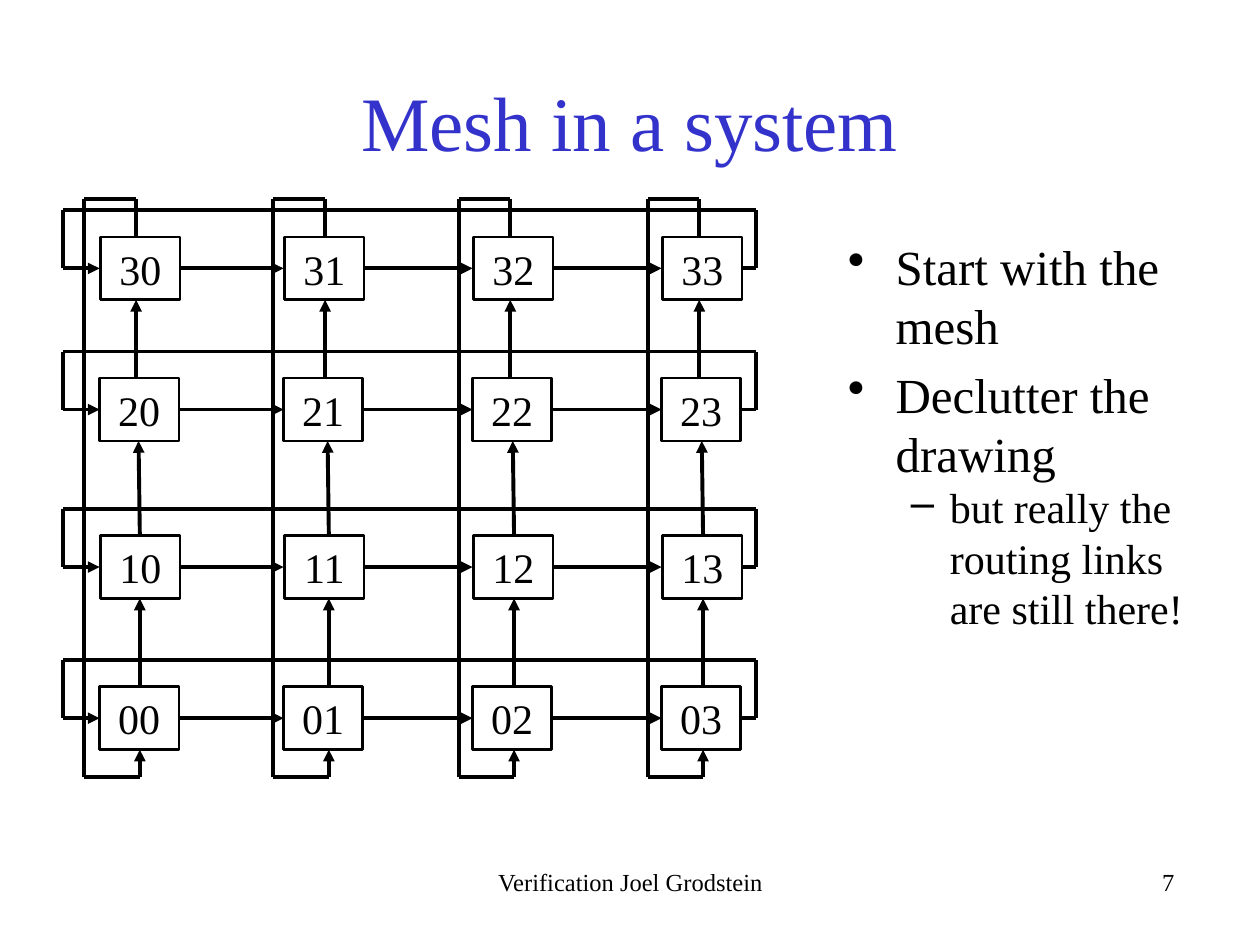
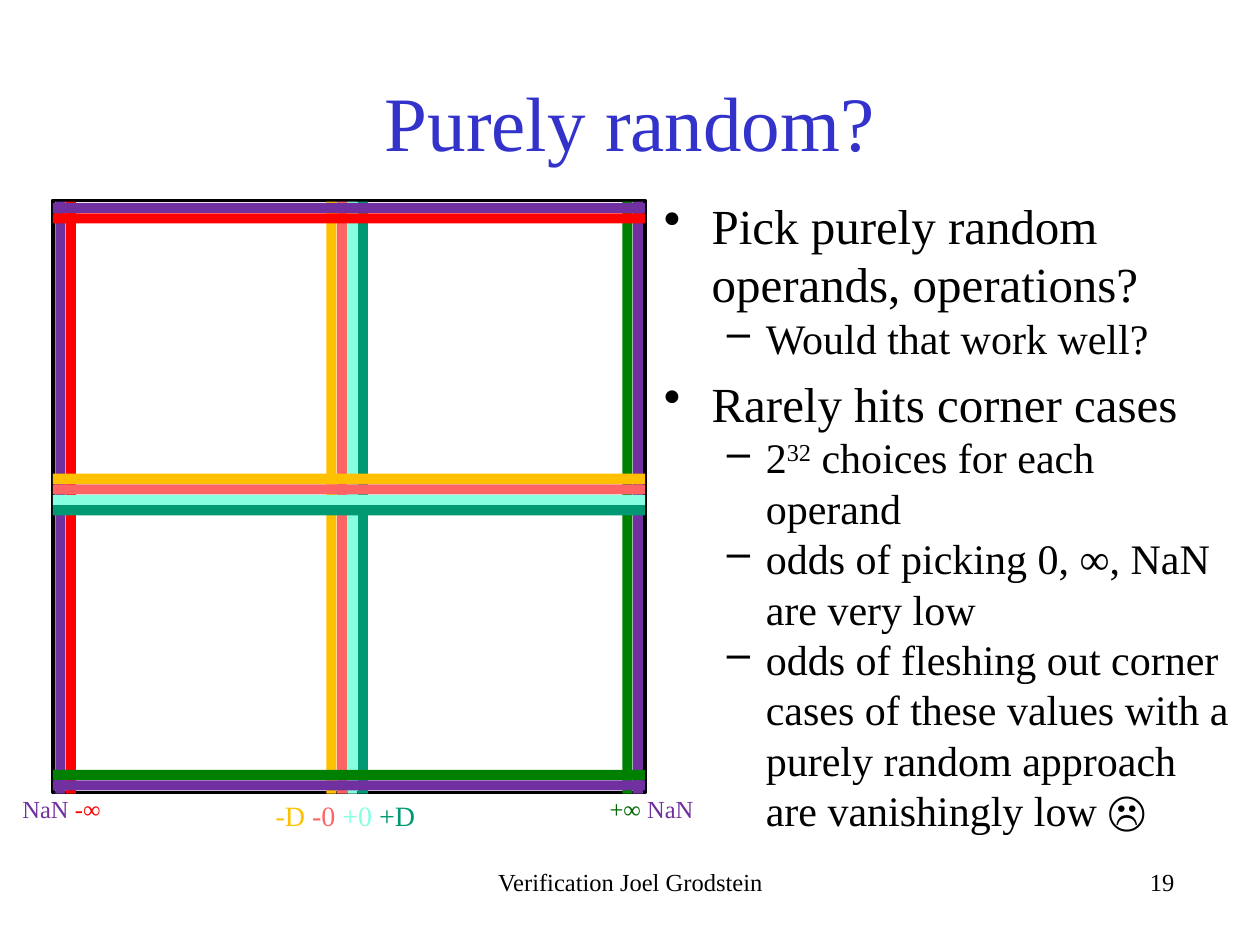
from dataclasses import dataclass

from lxml import etree
from pptx import Presentation
from pptx.dml.color import RGBColor
from pptx.enum import shapes as sh, text as tx
from pptx.oxml import ns
from pptx.util import Inches, Pt


@dataclass(frozen=True)
class Theme:
    """Colours, font and type sizes shared by the slides."""
    font: str = "Times New Roman"
    ink: str = "000000"
    paper: str = "FFFFFF"
    title: str = "3333CC"
    nan: str = "7030A0"
    minus_inf: str = "FF0000"
    plus_inf: str = "008000"
    plus_inf_label: str = "006600"
    minus_denorm: str = "FFC000"
    minus_zero: str = "FF6464"
    plus_zero: str = "85FFE0"
    plus_denorm: str = "009973"
    title_size: int = 44
    point_size: int = 28
    detail_size: int = 24
    zero_label_size: int = 16
    small_size: int = 14


THEME = Theme()
ALIGN = tx.PP_ALIGN
POINT = dict(size=THEME.point_size, marker="•", margin=0.38, hang=-0.38, before=5.6)
DETAIL = dict(size=THEME.detail_size, marker="–", margin=0.81, hang=-0.31, before=0)


def add_run(paragraph, words, size, color=THEME.ink, baseline=None):
    """Append one run in the theme font."""
    run = paragraph.add_run()
    run.text = words
    for name, value in dict(name=THEME.font, size=Pt(size)).items():
        setattr(run.font, name, value)
    run.font.color.rgb = RGBColor.from_string(color)
    if baseline:
        run.font._element.set("baseline", str(baseline * 1000))


def add_text(slide, box, runs, size, align=ALIGN.LEFT, anchor=tx.MSO_ANCHOR.TOP):
    """Place one paragraph of (words, colour) runs in a box."""
    frame = slide.shapes.add_textbox(*map(Inches, box)).text_frame
    for name, value in dict(word_wrap=True, vertical_anchor=anchor).items():
        setattr(frame, name, value)
    frame.paragraphs[0].alignment = align
    for words, color in runs:
        add_run(frame.paragraphs[0], words, size, color)


def add_rect(shapes, box, fill=None, line_width=None):
    """Place a rectangle with an optional fill and black outline."""
    rect = shapes.add_shape(sh.MSO_SHAPE.RECTANGLE, *map(Inches, box))
    rect.shadow.inherit = False
    if fill:
        rect.fill.solid()
        rect.fill.fore_color.rgb = RGBColor.from_string(fill)
    else:
        rect.fill.background()
    if line_width:
        rect.line.color.rgb = RGBColor.from_string(THEME.ink)
        rect.line.width = Pt(line_width)
    else:
        rect.line.fill.background()
    return rect


def add_link(slide, start, end, arrow=False):
    """Draw a straight black link, with an arrowhead at its end if asked."""
    ends = [Inches(value) for value in (*start, *end)]
    link = slide.shapes.add_connector(sh.MSO_CONNECTOR.STRAIGHT, *ends)
    link.line.color.rgb = RGBColor.from_string(THEME.ink)
    link.line.width = Pt(2.25)
    if arrow:
        head = etree.SubElement(link.line._get_or_add_ln(), ns.qn("a:tailEnd"))
        head.set("type", "triangle")
    etree.SubElement(link._element.spPr, ns.qn("a:effectLst"))


def add_bullets(slide, box, items):
    """Fill a box with (level, runs) bullets."""
    frame = slide.shapes.add_textbox(*map(Inches, box)).text_frame
    frame.word_wrap = True
    for index, (level, runs) in enumerate(items):
        paragraph = frame.paragraphs[0] if index == 0 else frame.add_paragraph()
        paragraph.space_before = Pt(level["before"])
        properties = paragraph._p.get_or_add_pPr()
        for name, key in (("marL", "margin"), ("indent", "hang")):
            properties.set(name, str(Inches(level[key])))
        marker = etree.SubElement(properties, ns.qn("a:buChar"))
        marker.set("char", level["marker"])
        for words, baseline in runs:
            add_run(paragraph, words, level["size"], baseline=baseline)


def add_page(deck, title, number):
    """Add a blank slide with the shared title, footer and page number."""
    slide = deck.slides.add_slide(deck.slide_layouts[6])
    add_text(slide, (0.75, 0.33, 8.5, 1.25), [(title, THEME.title)],
             THEME.title_size, ALIGN.CENTER, tx.MSO_ANCHOR.MIDDLE)
    for left, words, align in ((3.42, "Verification Joel Grodstein", ALIGN.CENTER),
                               (6.25, str(number), ALIGN.RIGHT)):
        add_text(slide, (left, 6.83, 3.17, 0.5), [(words, THEME.ink)],
                 THEME.small_size, align)
    return slide


def add_mesh(slide, box):
    """Draw the 4 by 4 wrap-around mesh inside a box."""
    left, top, width, height = box
    node_w, node_h = 0.63, 0.5
    right, bottom = left + width, top + height
    columns = [left + x for x in (0.29, 1.75, 3.25, 4.75)]
    rows = [top + y for y in (0.3, 1.42, 2.67, 3.87)]
    lanes = [left + x for x in (0.61, 2.11, 3.58, 5.08)]

    for row in rows:
        middle = row + node_h / 2
        wrap = middle - 0.46
        for x, next_x in zip(columns, columns[1:]):
            add_link(slide, (x + node_w, middle), (next_x, middle), True)
        add_link(slide, (right, middle), (columns[-1] + node_w, middle))
        add_link(slide, (right, middle), (right, wrap))
        add_link(slide, (right, wrap), (left, wrap))
        add_link(slide, (left, middle), (left, wrap))
        add_link(slide, (left, middle), (columns[0], middle), True)

    for lane in lanes:
        upper, side = lane - 0.03, lane - 0.44
        risers = ((upper, upper), (lane, lane - 0.01), (lane, lane))
        for (x, end_x), above, below in zip(risers, rows, rows[1:]):
            add_link(slide, (x, below), (end_x, above + node_h), True)
        add_link(slide, (upper, rows[0]), (upper, top))
        add_link(slide, (upper, top), (side, top))
        add_link(slide, (side, bottom), (side, top))
        add_link(slide, (lane, bottom), (side, bottom))
        add_link(slide, (lane, bottom), (lane, rows[-1] + node_h), True)

    for index, row in enumerate(rows):
        label = len(rows) - 1 - index
        nudge = 0.01 * (label % 2)
        for column, x in enumerate(columns):
            node = add_rect(slide.shapes, (x + nudge, row, node_w, node_h), THEME.paper, 1.5)
            node.text_frame.vertical_anchor = tx.MSO_ANCHOR.MIDDLE
            paragraph = node.text_frame.paragraphs[0]
            paragraph.alignment = ALIGN.CENTER
            add_run(paragraph, f"{label}{column}", THEME.detail_size)


def add_operand_square(slide, box):
    """Draw the operand space with a band for each special value on both axes."""
    left, top, side, _ = box
    pitch, thickness = 1 / 12, 0.08
    clusters = (
        (0.02, (THEME.nan, THEME.minus_inf)),
        (2.17, (THEME.minus_denorm, THEME.minus_zero, THEME.plus_zero, THEME.plus_denorm)),
        (4.52, (THEME.plus_inf, THEME.nan)),
    )
    bands = [(start + index * pitch, color) for start, colors in clusters
             for index, color in enumerate(colors)]
    first_operand = slide.shapes.add_group_shape().shapes
    add_rect(first_operand, box, line_width=2)
    for offset, color in bands:
        add_rect(first_operand, (left + offset, top + 0.01, thickness, side), color)
    second_operand = slide.shapes.add_group_shape().shapes
    for offset, color in bands:
        add_rect(second_operand, (left, top + offset, side, thickness), color)

    bottom = top + side
    add_text(slide, (left - 0.34, bottom - 0.04, 1, 0.34),
             [("NaN ", THEME.nan), ("-∞", THEME.minus_inf)], THEME.small_size)
    add_text(slide, (left + 1.67, bottom, 1.46, 0.37),
             [("-D ", THEME.minus_denorm), ("-0 ", THEME.minus_zero),
              ("+0 ", THEME.plus_zero), ("+D", THEME.plus_denorm)], THEME.zero_label_size)
    add_text(slide, (left + 4.32, bottom - 0.04, 0.93, 0.34),
             [("+∞ ", THEME.plus_inf_label), ("NaN", THEME.nan)], THEME.small_size)


def build_mesh_slide(deck):
    """Build the slide on the mesh."""
    slide = add_page(deck, "Mesh in a system", 7)
    add_mesh(slide, (0.5, 1.58, 5.5, 4.59))
    add_bullets(slide, (6.63, 1.83, 3.11, 4.83), [
        (POINT, [("Start with the mesh", None)]),
        (POINT, [("Declutter the drawing", None)]),
        (DETAIL, [("but really the routing links are still there!", None)]),
    ])


def build_random_slide(deck):
    """Build the slide on random operands."""
    slide = add_page(deck, "Purely random?", 19)
    add_operand_square(slide, (0.42, 1.59, 4.7, 4.7))
    add_bullets(slide, (5.17, 1.5, 4.7, 5.16), [
        (POINT, [("Pick purely random operands, operations?", None)]),
        (DETAIL, [("Would that work well?", None)]),
        (POINT, [("Rarely hits corner cases", None)]),
        (DETAIL, [("2", None), ("32", 30), (" choices for each operand", None)]),
        (DETAIL, [("odds of picking 0, ∞, NaN are very low", None)]),
        (DETAIL, [("odds of fleshing out corner cases of these values with a "
                   "purely random approach are vanishingly low ☹", None)]),
    ])


def main():
    """Build and save the deck."""
    deck = Presentation()
    deck.slide_width, deck.slide_height = Inches(10), Inches(7.5)
    build_mesh_slide(deck)
    build_random_slide(deck)
    deck.save("out.pptx")


main()
